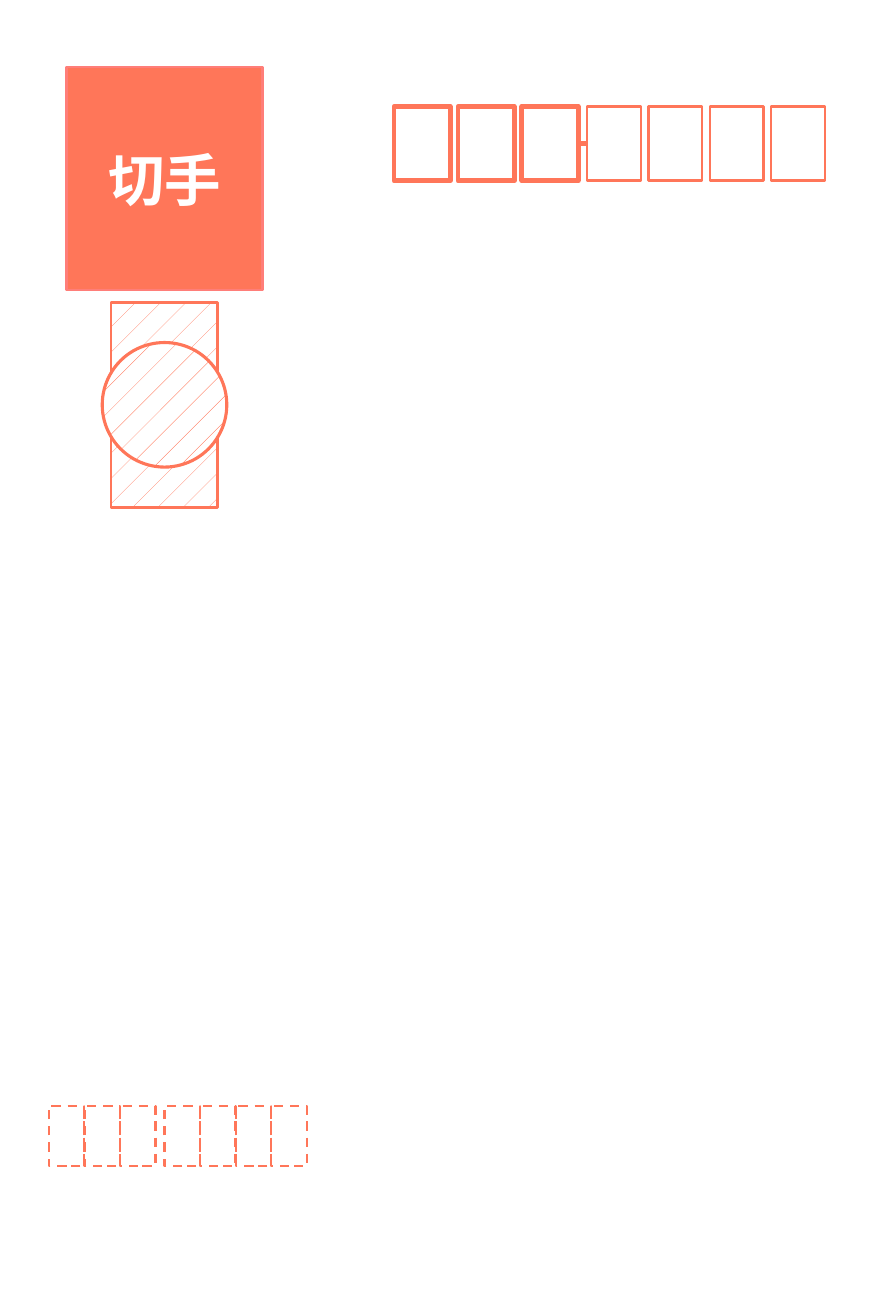
from dataclasses import dataclass

from lxml.etree import SubElement
from pptx import Presentation
from pptx.dml.color import RGBColor
from pptx.enum.dml import MSO_LINE, MSO_PATTERN
from pptx.enum.shapes import MSO_CONNECTOR, MSO_SHAPE
from pptx.enum.text import MSO_ANCHOR, PP_ALIGN
from pptx.oxml.ns import qn
from pptx.shapes.autoshape import Shape
from pptx.util import Pt

COLORS = {"ink": "FF7659", "stamp_edge": "FF7E79", "paper": "FFFFFF"}
BLANK_LAYOUT = 6


@dataclass(frozen=True)
class Outline:
    """A shape's place in points, its border and its fill."""
    left: float
    top: float
    width: float
    height: float
    border: float = 0.75
    edge: str = "ink"
    fill: str | None = None
    hatched: bool = False
    dashed: bool = False
    preset: MSO_SHAPE = MSO_SHAPE.RECTANGLE


@dataclass(frozen=True)
class DigitRow:
    """A run of equal boxes for postal code digits."""
    count: int
    left: float
    top: float
    pitch: float
    width: float
    height: float
    border: float = 0.75
    dashed: bool = False


STAMP = Outline(21.2, 21.4, 62.5, 71, edge="stamp_edge", fill="ink")
POSTMARK = [
    Outline(35.4, 96.4, 34, 65.4, hatched=True),
    Outline(32.6, 109.2, 39.7, 39.7, border=1, hatched=True,
            preset=MSO_SHAPE.OVAL),
]
RECIPIENT_AREA = DigitRow(3, 125.6, 34, 20.4, 18, 23.6, border=1.5)
RECIPIENT_LOCAL = DigitRow(4, 187.2, 34, 19.55, 17.2, 23.6)
SENDER_AREA = DigitRow(3, 15.6, 352.5, 11.35, 11.35, 19.3, dashed=True)
SENDER_LOCAL = DigitRow(4, 52.5, 352.5, 11.35, 11.35, 19.3, dashed=True)


def color(key: str) -> RGBColor:
    """Return a palette colour."""
    return RGBColor.from_string(COLORS[key])


def draw_outline(item: Outline) -> Shape:
    """Draw one shape with its border and fill."""
    shape = slide.shapes.add_shape(
        item.preset, Pt(item.left), Pt(item.top), Pt(item.width), Pt(item.height))
    shape.shadow.inherit = False
    shape.line.color.rgb = color(item.edge)
    shape.line.width = Pt(item.border)
    if item.dashed:
        shape.line.dash_style = MSO_LINE.DASH
    if item.hatched:
        shape.fill.patterned()
        shape.fill.pattern = MSO_PATTERN.PERCENT_10
        shape.fill.fore_color.rgb = color("ink")
        shape.fill.back_color.rgb = color("paper")
    elif item.fill:
        shape.fill.solid()
        shape.fill.fore_color.rgb = color(item.fill)
    else:
        shape.fill.background()
    return shape


def draw_digits(row: DigitRow) -> None:
    """Draw the boxes of one digit row."""
    for digit in range(row.count):
        draw_outline(Outline(row.left + digit * row.pitch, row.top, row.width,
                             row.height, border=row.border, dashed=row.dashed))


def draw_hyphen(start: float, end: float, y: float) -> None:
    """Join the two parts of the recipient's postal code."""
    hyphen = slide.shapes.add_connector(
        MSO_CONNECTOR.STRAIGHT, Pt(start), Pt(y), Pt(end), Pt(y))
    hyphen.line.color.rgb = color("ink")
    hyphen.line.width = Pt(1.5)
    SubElement(hyphen._element.spPr, qn("a:effectLst"))


def write_text(shape: Shape, text: str, *, size: float, ink: str,
               font: str = "Calibri", bold: bool = False) -> None:
    """Write centred, unwrapped text in a shape."""
    frame = shape.text_frame
    frame.margin_left = frame.margin_right = Pt(0)
    frame.margin_top = frame.margin_bottom = Pt(0)
    frame.word_wrap = False
    frame.vertical_anchor = MSO_ANCHOR.MIDDLE
    paragraph = frame.paragraphs[0]
    paragraph.alignment = PP_ALIGN.CENTER
    run = paragraph.add_run()
    run.text = text
    run.font.name = font
    run.font.size = Pt(size)
    run.font.bold = bold
    run.font.color.rgb = color(ink)


postcard = Presentation()
postcard.slide_width, postcard.slide_height = Pt(283.46), Pt(419.53)
slide = postcard.slides.add_slide(postcard.slide_layouts[BLANK_LAYOUT])
slide.background.fill.solid()
slide.background.fill.fore_color.rgb = color("paper")

write_text(draw_outline(STAMP), "切手", size=18, ink="paper", bold=True)
for mark in POSTMARK:
    draw_outline(mark)
for digit_row in (SENDER_AREA, SENDER_LOCAL, RECIPIENT_AREA, RECIPIENT_LOCAL):
    draw_digits(digit_row)
area_end = (RECIPIENT_AREA.left + RECIPIENT_AREA.width
            + (RECIPIENT_AREA.count - 1) * RECIPIENT_AREA.pitch)
draw_hyphen(area_end, RECIPIENT_LOCAL.left,
            RECIPIENT_AREA.top + RECIPIENT_AREA.height / 2)

postcard.save("out.pptx")
